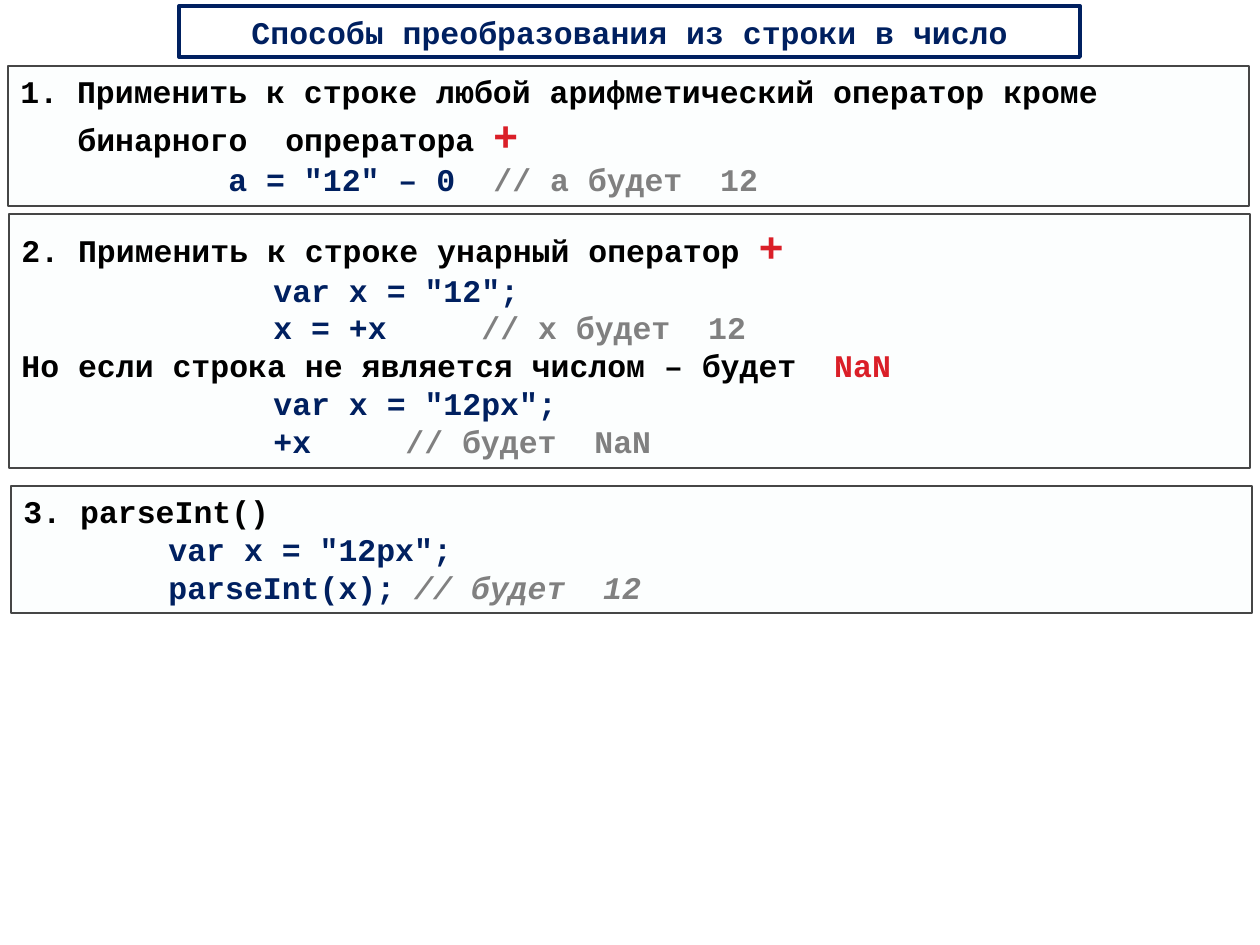
from typing import NamedTuple

import lxml.etree
import pptx
import pptx.dml.color
import pptx.enum.shapes
import pptx.enum.text
import pptx.oxml.ns
import pptx.util

RGB = pptx.dml.color.RGBColor
WHITE = RGB(0xFF, 0xFF, 0xFF)
BLACK = RGB(0x00, 0x00, 0x00)
NAVY = RGB(0x00, 0x20, 0x60)
RED = RGB(0xDA, 0x1F, 0x28)
GREY = RGB(0x80, 0x80, 0x80)
PALE = RGB(0xDE, 0xF5, 0xFA)
EDGE = RGB(0x46, 0x46, 0x46)

FONT = "Courier New"
SCALE = 914400 / 126  # EMU in one px


class Run(NamedTuple):
    text: str
    color: RGB = BLACK
    size: int = 18
    italic: bool = False


class Line(NamedTuple):
    runs: list[Run]
    stops: tuple[int, ...] = ()


class Box(NamedTuple):
    left: int
    top: int
    width: int
    height: int
    lines: list[Line]


PLUS = Run("+", RED, 24)

TITLE = Box(179, 6, 901, 51, [
    Line([Run("Способы преобразования из строки в число", NAVY)]),
])

BOXES = [
    Box(8, 66, 1241, 140, [
        Line([Run("1. Применить к строке любой арифметический оператор кроме")]),
        Line([Run("\tбинарного  опрератора "), PLUS], (57,)),
        Line([Run("\ta = \"12\" – 0\t", NAVY), Run("// a будет  12", GREY)], (208, 473)),
    ]),
    Box(9, 214, 1241, 254, [
        Line([Run("2. Применить к строке унарный оператор "), PLUS]),
        Line([Run("\tvar x = \"12\";", NAVY)], (252,)),
        Line([Run("\tx = +x\t", NAVY), Run("// x будет  12", GREY)], (252, 460)),
        Line([Run("Но если строка не является числом – будет  "), Run("NaN", RED)]),
        Line([Run("\tvar x = \"12px\";", NAVY)], (252,)),
        Line([Run("\t+x\t", NAVY), Run("// будет  NaN", GREY)], (252, 384)),
    ]),
    Box(11, 486, 1241, 127, [
        Line([Run("3. parseInt()")]),
        Line([Run("\tvar x = \"12px\";", NAVY)], (145,)),
        Line([Run("\tparseInt(x); ", NAVY), Run("// будет  12", GREY, italic=True)], (145,)),
    ]),
]


def px(n: int) -> pptx.util.Emu:
    return pptx.util.Emu(round(n * SCALE))


def add_tag(node, name: str, **attrs: str):
    tag = pptx.oxml.ns.qn(name)
    return lxml.etree.SubElement(node, tag, attrs)


def write_line(para, line: Line, align) -> None:
    para.alignment = align
    if line.stops:
        tabs = add_tag(para._p.get_or_add_pPr(), "a:tabLst")
        for stop in line.stops:
            add_tag(tabs, "a:tab", pos=str(px(stop)), algn="l")
    for item in line.runs:
        run = para.add_run()
        run.text = item.text
        font = run.font
        font.name = FONT
        font.size = pptx.util.Pt(item.size)
        font.bold = True
        if item.italic:
            font.italic = True
        font.color.rgb = item.color


def draw_box(slide, box: Box, fill: RGB, edge: RGB, weight: float, align, anchor):
    shape = slide.shapes.add_shape(
        pptx.enum.shapes.MSO_SHAPE.RECTANGLE,
        px(box.left), px(box.top), px(box.width), px(box.height))
    shape.shadow.inherit = False
    shape.fill.solid()
    shape.fill.fore_color.rgb = fill
    shape.line.color.rgb = edge
    shape.line.width = pptx.util.Pt(weight)
    frame = shape.text_frame
    frame.word_wrap = True
    frame.vertical_anchor = anchor
    for i, line in enumerate(box.lines):
        para = frame.add_paragraph() if i else frame.paragraphs[0]
        write_line(para, line, align)
    return shape


def draw_note(slide, box: Box) -> None:
    """Draw a left-aligned box with a faint fill that grows with its text."""
    shape = draw_box(slide, box, PALE, EDGE, 0.75,
                     pptx.enum.text.PP_ALIGN.LEFT, pptx.enum.text.MSO_ANCHOR.TOP)
    shape.text_frame.auto_size = pptx.enum.text.MSO_AUTO_SIZE.SHAPE_TO_FIT_TEXT
    tint = shape._element.spPr.find(pptx.oxml.ns.qn("a:solidFill"))[0]
    add_tag(tint, "a:alpha", val="8000")


def main() -> None:
    deck = pptx.Presentation()
    deck.slide_width, deck.slide_height = px(1260), px(945)
    slide = deck.slides.add_slide(deck.slide_layouts[6])
    draw_box(slide, TITLE, WHITE, NAVY, 2.25,
             pptx.enum.text.PP_ALIGN.CENTER, pptx.enum.text.MSO_ANCHOR.MIDDLE)
    for box in BOXES:
        draw_note(slide, box)
    deck.save("out.pptx")


if __name__ == "__main__":
    main()
